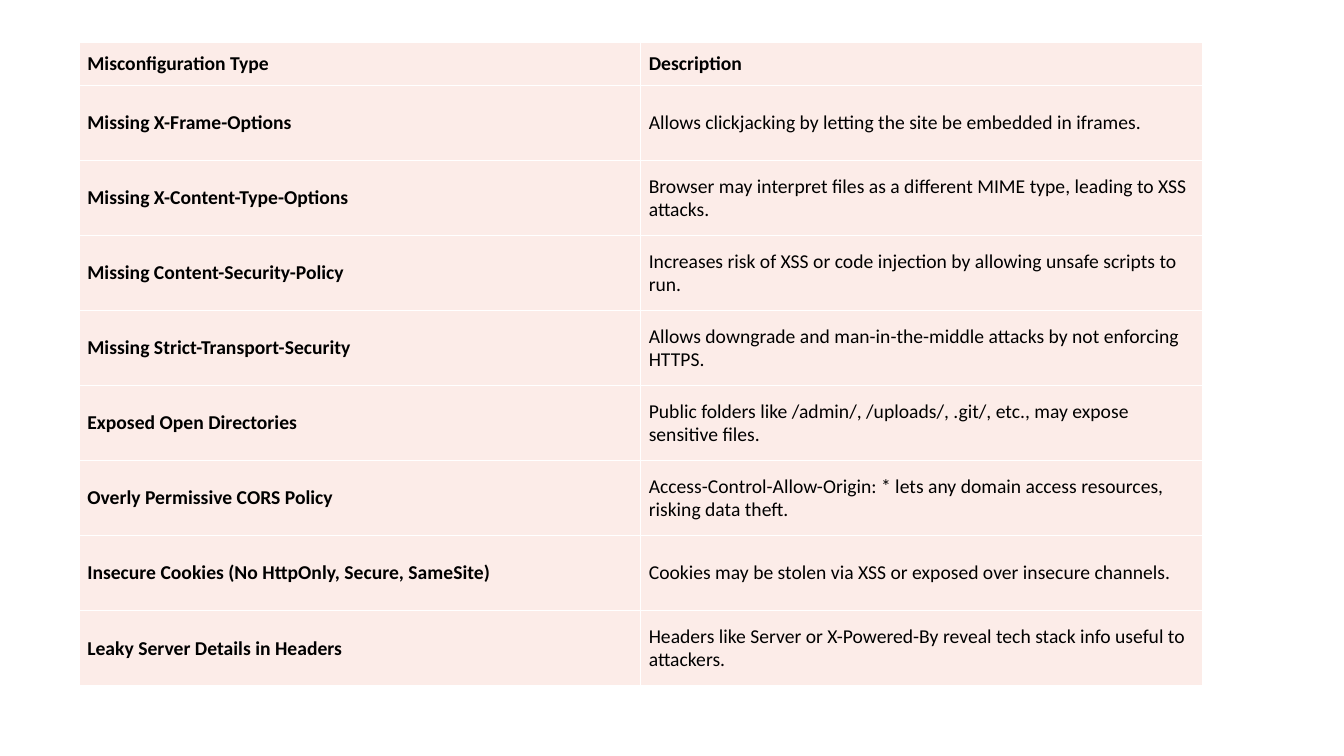
from lxml.etree import SubElement
from pptx import Presentation
from pptx.dml.color import RGBColor
from pptx.enum.text import MSO_ANCHOR
from pptx.oxml.ns import qn
from pptx.util import Cm, Pt

ROWS = [
    ("Misconfiguration Type", "Description"),
    ("Missing X-Frame-Options",
     "Allows clickjacking by letting the site be embedded in iframes."),
    ("Missing X-Content-Type-Options",
     "Browser may interpret files as a different MIME type, leading to XSS attacks."),
    ("Missing Content-Security-Policy",
     "Increases risk of XSS or code injection by allowing unsafe scripts to run."),
    ("Missing Strict-Transport-Security",
     "Allows downgrade and man-in-the-middle attacks by not enforcing HTTPS."),
    ("Exposed Open Directories",
     "Public folders like /admin/, /uploads/, .git/, etc., may expose sensitive files."),
    ("Overly Permissive CORS Policy",
     "Access-Control-Allow-Origin: * lets any domain access resources, risking data theft."),
    ("Insecure Cookies (No HttpOnly, Secure, SameSite)",
     "Cookies may be stolen via XSS or exposed over insecure channels."),
    ("Leaky Server Details in Headers",
     "Headers like Server or X-Powered-By reveal tech stack info useful to attackers."),
]
COLORS = {"text": "000000", "cell": "FCECE8", "border": "FFFFFF"}
LEFT, TOP = Cm(2), Cm(1.07)
COLUMN_WIDTH = Cm(14.15)
HEADER_HEIGHT, ROW_HEIGHT = Cm(1.09), Cm(1.89)


def add_borders(cell):
    properties = cell._tc.get_or_add_tcPr()
    for side in ("a:lnL", "a:lnR", "a:lnT", "a:lnB"):
        line = SubElement(properties, qn(side), w=str(Pt(1)))
        fill = SubElement(line, qn("a:solidFill"))
        SubElement(fill, qn("a:srgbClr"), val=COLORS["border"])


def fill_cell(cell, text, bold):
    add_borders(cell)
    cell.fill.solid()
    cell.fill.fore_color.rgb = RGBColor.from_string(COLORS["cell"])
    cell.vertical_anchor = MSO_ANCHOR.MIDDLE
    cell.margin_left = cell.margin_right = Cm(0.2)
    cell.margin_top = cell.margin_bottom = Cm(0.1)
    span = cell.text_frame.paragraphs[0].add_run()
    span.text = text
    span.font.name = "Calibri"
    span.font.size = Pt(14)
    span.font.bold = bold
    span.font.color.rgb = RGBColor.from_string(COLORS["text"])


def main():
    deck = Presentation()
    deck.slide_width, deck.slide_height = Cm(33.87), Cm(19.05)
    page = deck.slides.add_slide(deck.slide_layouts[6])
    height = HEADER_HEIGHT + ROW_HEIGHT * (len(ROWS) - 1)
    table = page.shapes.add_table(
        len(ROWS), 2, LEFT, TOP, COLUMN_WIDTH * 2, height).table
    table.horz_banding = False
    for column in table.columns:
        column.width = COLUMN_WIDTH
    for row_index, texts in enumerate(ROWS):
        table.rows[row_index].height = ROW_HEIGHT if row_index else HEADER_HEIGHT
        for column_index, text in enumerate(texts):
            bold = row_index == 0 or column_index == 0
            fill_cell(table.cell(row_index, column_index), text, bold)
    deck.save("out.pptx")


if __name__ == "__main__":
    main()
